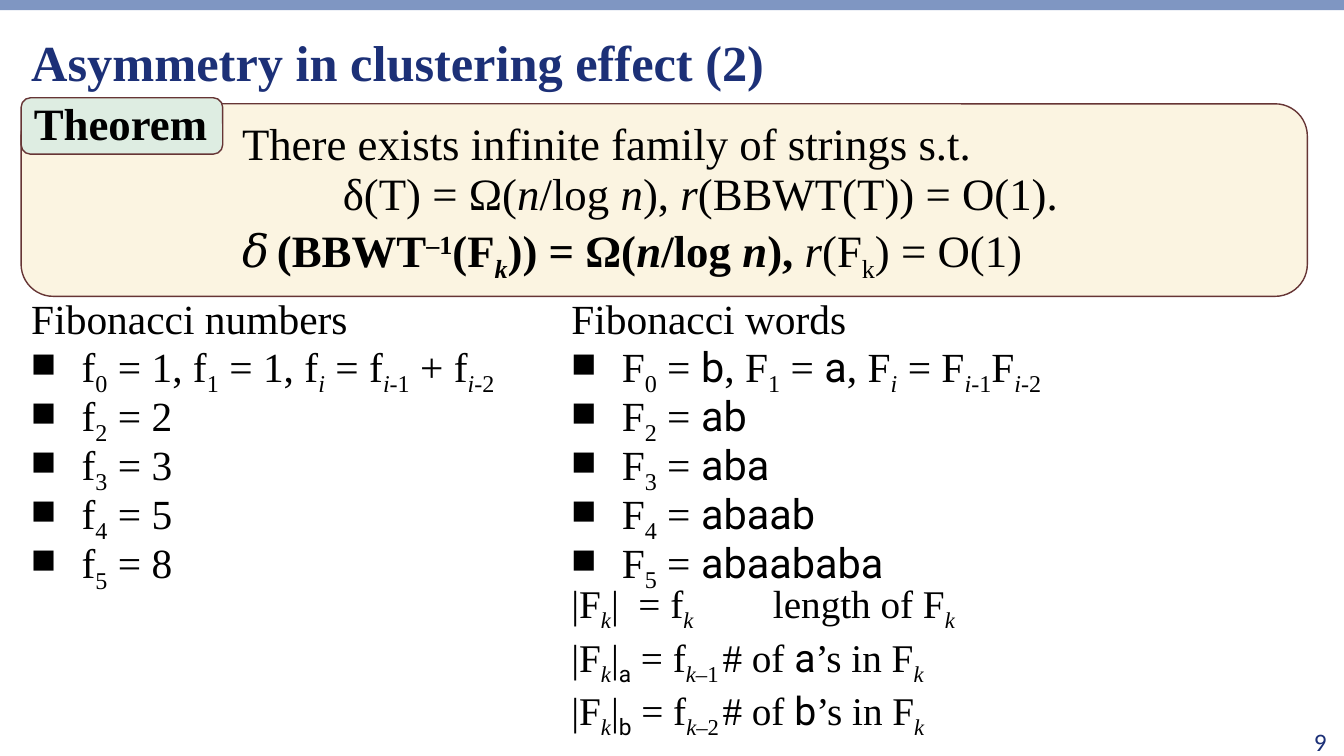
from dataclasses import dataclass
from typing import NamedTuple

from lxml.etree import SubElement
from pptx import Presentation
from pptx.dml.color import RGBColor
from pptx.enum.shapes import MSO_SHAPE
from pptx.enum.text import MSO_ANCHOR, MSO_AUTO_SIZE, PP_ALIGN
from pptx.oxml.ns import qn
from pptx.util import Inches, Pt


@dataclass(frozen=True)
class Theme:
    serif: str = "Times New Roman"
    letters: str = "Roboto"
    sans: str = "Calibri"
    navy: str = "1C3077"
    black: str = "000000"
    bar: str = "7F96C2"
    cream: str = "FBF4E1"
    mint: str = "DEEDE2"
    maroon: str = "663535"
    title_size: float = 36
    theorem_size: float = 32
    list_size: float = 29.6
    fact_size: float = 28
    number_size: float = 18


class Cell(NamedTuple):
    """Left, top, width and height in grid columns and rows."""
    left: float
    top: float
    width: float
    height: float

    def lengths(self) -> list:
        return [Inches(value * GRID) for value in self]


class Span(NamedTuple):
    text: str
    italic: bool = False
    bold: bool = False
    shift: int = 0
    font: str = ""


@dataclass(frozen=True)
class Style:
    size: float
    color: str = Theme.black
    font: str = Theme.serif
    leading: float = 1.0
    after: float = 0
    align: PP_ALIGN = PP_ALIGN.LEFT


class Line(NamedTuple):
    spans: list
    bullet: bool = False
    margin: float = 0  # grid columns


class Panel(NamedTuple):
    cell: Cell
    fill: str
    lines: list


THEME = Theme()
GRID = 0.1  # inches per column and per row
COLUMNS, ROWS = 133.33, 75
LEFT, WIDTH = 2.1, 127.6
WORDS_LEFT, LIST_TOP, LIST_HEIGHT = 55.7, 29.4, 27.6
BULLET_MARGIN, STATEMENT_MARGIN = 5, 20

TITLE = Style(THEME.title_size, THEME.navy, leading=0.9)
NUMBER = Style(THEME.number_size, THEME.navy, THEME.sans, align=PP_ALIGN.RIGHT)
THEOREM = Style(THEME.theorem_size, leading=0.93, after=1.5)
LIST = Style(THEME.list_size, leading=0.83, after=1.5)
FACT = Style(THEME.fact_size)


def sub(text: str, italic: bool = False, bold: bool = False, font: str = "") -> Span:
    return Span(text, italic, bold, -25, font)


def ital(text: str, bold: bool = False) -> Span:
    return Span(text, True, bold)


def strong(text: str, shift: int = 0) -> Span:
    return Span(text, bold=True, shift=shift)


def letters(text: str) -> Span:
    return Span(text, font=THEME.letters)


def recurrence(name: str, joint: str) -> list[Span]:
    return [Span(name), sub("i", True), Span(f" = {name}"), sub("i", True), sub("-1"),
            Span(joint + name), sub("i", True), sub("-2")]


def count_fact(letter: str, back: int) -> Line:
    return Line([Span("|F"), sub("k", True), Span("|"), sub(letter, font=THEME.letters),
                 Span(" = f"), sub("k", True), sub(f"–{back}\t"), Span("# of "),
                 letters(letter), Span("’s in F"), sub("k", True)])


def write(frame, lines: list[Line], style: Style, anchor=MSO_ANCHOR.TOP,
          fit=MSO_AUTO_SIZE.NONE) -> None:
    frame.word_wrap = True
    frame.auto_size = fit
    frame.vertical_anchor = anchor
    for index, line in enumerate(lines):
        para = frame.paragraphs[0] if index == 0 else frame.add_paragraph()
        properties = para._p.get_or_add_pPr()
        hanging = Inches(BULLET_MARGIN * GRID) if line.bullet else 0
        properties.set("marL", str(hanging + Inches(line.margin * GRID)))
        properties.set("indent", str(-hanging))
        if line.bullet:
            SubElement(properties, qn("a:buFont"), typeface=style.font)
            SubElement(properties, qn("a:buChar"), char="■")
        else:
            SubElement(properties, qn("a:buNone"))
        para.alignment = style.align
        para.line_spacing = style.leading
        para.space_before = Pt(0)
        para.space_after = Pt(style.after)
        for span in line.spans:
            if span.text == "\n":
                para.add_line_break()
                continue
            run = para.add_run()
            run.text = span.text
            run.font.name = span.font or style.font
            run.font.size = Pt(style.size)
            run.font.bold = span.bold
            run.font.italic = span.italic
            run.font.color.rgb = RGBColor.from_string(style.color)
            if span.shift:
                run._r.get_or_add_rPr().set("baseline", str(span.shift * 1000))


def add_panel(slide, kind: MSO_SHAPE, cell: Cell, fill: str, outline: str = ""):
    shape = slide.shapes.add_shape(kind, *cell.lengths())
    shape.shadow.inherit = False
    shape.fill.solid()
    shape.fill.fore_color.rgb = RGBColor.from_string(fill)
    if outline:
        shape.line.color.rgb = RGBColor.from_string(outline)
        shape.line.width = Pt(1)
    else:
        shape.line.fill.background()
    return shape


def move(shape, cell: Cell) -> None:
    shape.left, shape.top, shape.width, shape.height = cell.lengths()


# Wording
NUMBERS = [Line([Span("Fibonacci numbers")]),
           Line([Span("f"), sub("0"), Span(" = 1, f"), sub("1"), Span(" = 1, "),
                 *recurrence("f", " + ")], True)]
NUMBERS += [Line([Span("f"), sub(str(index)), Span(f" = {value}")], True)
            for index, value in enumerate((2, 3, 5, 8), start=2)]

WORDS = [Line([Span("Fibonacci words")]),
         Line([Span("F"), sub("0"), Span(" = "), letters("b"), Span(", F"), sub("1"),
               Span(" = "), letters("a"), Span(", "), *recurrence("F", "")], True)]
WORDS += [Line([Span("F"), sub(str(index)), Span(" = "), letters(word)], True)
          for index, word in enumerate(("ab", "aba", "abaab", "abaababa"), start=2)]

FACTS = [Line([Span("|F"), sub("k", True), Span("|  = f"), sub("k\t\t", True),
               Span("length of F"), sub("k", True)]),
         count_fact("a", 1), count_fact("b", 2)]

STATEMENT = [
    Line([Span("There exists infinite family of strings s.t. "), Span("\n"),
          Span("\t\tδ(T) = Ω("), ital("n"), Span("/log "), ital("n"), Span("), "),
          ital("r"), Span("(BBWT(T)) = O(1).")], margin=STATEMENT_MARGIN),
    Line([strong("𝛿(BBWT"), strong("–1", 30), strong("(F"), sub("k", True, True),
          strong(")) = Ω("), ital("n", True), strong("/log "), ital("n", True),
          strong("),"), ital(" r"), Span("(F"), sub("k"), Span(") = O(1)")],
         margin=STATEMENT_MARGIN),
]
PANELS = [Panel(Cell(LEFT, 10.3, WIDTH, 19.1), THEME.cream, STATEMENT),
          Panel(Cell(LEFT, 9.7, 20, 5.6), THEME.mint, [Line([strong("Theorem")])])]


def main() -> None:
    deck = Presentation()
    deck.slide_width, deck.slide_height = Inches(COLUMNS * GRID), Inches(ROWS * GRID)
    page = deck.slides.add_slide(deck.slide_layouts[1])

    # Top bar, title and number lists
    add_panel(page, MSO_SHAPE.RECTANGLE, Cell(0, 0, COLUMNS, 1), THEME.bar)
    title, body = page.shapes.title, page.placeholders[1]
    move(title, Cell(LEFT, 3.3, WIDTH, 5.6))
    write(title.text_frame, [Line([strong("Asymmetry in clustering effect (2)")])], TITLE)
    move(body, Cell(LEFT, LIST_TOP, WIDTH, LIST_HEIGHT))
    write(body.text_frame, NUMBERS, LIST)

    # Theorem and its label
    for panel in PANELS:
        box = add_panel(page, MSO_SHAPE.ROUNDED_RECTANGLE, panel.cell, panel.fill, THEME.maroon)
        write(box.text_frame, panel.lines, THEOREM, MSO_ANCHOR.MIDDLE)

    # Fibonacci words, length facts and page number
    words = page.shapes.add_textbox(*Cell(WORDS_LEFT, LIST_TOP, 74, LIST_HEIGHT).lengths())
    write(words.text_frame, WORDS, LIST)
    facts = page.shapes.add_textbox(*Cell(WORDS_LEFT, 57, 75.6, 15.1).lengths())
    write(facts.text_frame, FACTS, FACT, fit=MSO_AUTO_SIZE.SHAPE_TO_FIT_TEXT)
    number = page.shapes.add_textbox(*Cell(125.5, 72.2, 7.1, 2.7).lengths())
    write(number.text_frame, [Line([Span("9")])], NUMBER, MSO_ANCHOR.MIDDLE)

    deck.save("out.pptx")


if __name__ == "__main__":
    main()
